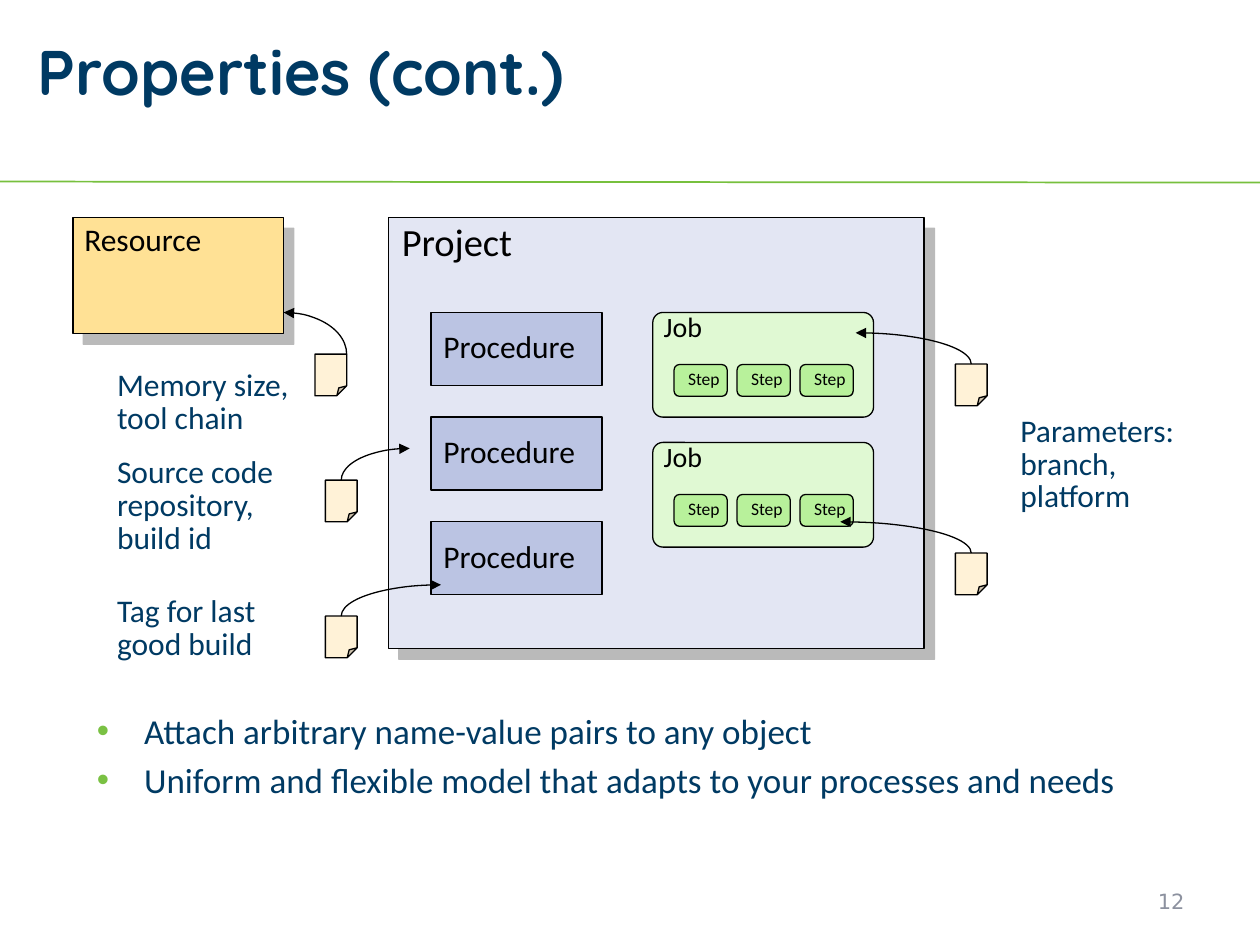
from lxml import etree
from pptx import Presentation
from pptx.dml.color import RGBColor
from pptx.enum.shapes import MSO_CONNECTOR, MSO_SHAPE
from pptx.enum.text import MSO_ANCHOR, MSO_AUTO_SIZE, PP_ALIGN
from pptx.oxml import parse_xml
from pptx.oxml.ns import qn
from pptx.util import Cm, Pt

RECT, ROUND = MSO_SHAPE.RECTANGLE, MSO_SHAPE.ROUNDED_RECTANGLE
NOTE, ARC = MSO_SHAPE.FOLDED_CORNER, MSO_SHAPE.ARC
TOP, MIDDLE = MSO_ANCHOR.TOP, MSO_ANCHOR.MIDDLE
LEFT, RIGHT = PP_ALIGN.LEFT, PP_ALIGN.RIGHT
NAVY, BLACK, GREEN, GREY = "003A63", "000000", "77C03E", "8C919F"
A_NS = 'xmlns:a="http://schemas.openxmlformats.org/drawingml/2006/main"'

TITLE = "Properties (cont.)"
BULLETS = [
    "Attach arbitrary name-value pairs to any object",
    "Uniform and flexible model that adapts to your processes and needs",
]
PANELS = [
    ("Project", (7.83, 4.39, 10.8, 8.69), "E3E6F3", (7.85, 4.39, 2.92, 1.07), 22),
    ("Resource", (1.47, 4.39, 4.24, 2.34), "FFE195", (1.45, 4.42, 3.23, 0.91), 18),
]
PROCEDURE_TOPS = [6.3, 8.41, 10.52]
JOB_TOPS = [6.3, 8.92]
STEPS_PER_JOB = 3
NOTE_W, NOTE_H = 0.64, 0.84
NOTES = [
    {"note": (19.26, 7.34), "tip": (17.25, 6.71), "start": 0.5},
    {"note": (6.56, 9.68), "tip": (8.26, 9.04), "start": 0.5},
    {"note": (6.56, 12.42), "tip": (8.89, 11.79), "start": 0.5},
    {"note": (19.26, 11.15), "tip": (16.94, 10.52), "start": 0.5},
    {"note": (6.35, 7.14), "tip": (5.72, 6.3), "start": 1},
]
LABELS = [
    ("Parameters: branch, platform", (20.32, 8.26, 4.24, 2.26)),
    ("Source code repository, build id", (2.11, 9.09, 4.24, 2.26)),
    ("Tag for last\vgood build", (2.11, 11.89, 4.01, 1.6)),
    ("Memory size, tool chain", (2.11, 7.34, 4.01, 1.6)),
]


def rgb(value):
    return RGBColor.from_string(value)


def cm(*values):
    return [Cm(v) for v in values]


def apply(target, **formats):
    for name, value in formats.items():
        setattr(target, name, value)


def place(sp, box):
    apply(sp, **dict(zip(("left", "top", "width", "height"), cm(*box))))


def write(tf, text, size, color, wrap=False, anchor=TOP, font="Calibri",
          bold=False, align=LEFT, para=None):
    apply(tf, word_wrap=wrap, vertical_anchor=anchor, auto_size=MSO_AUTO_SIZE.NONE)
    p = para or tf.paragraphs[0]
    p.text = text
    p.alignment = align
    for r in p.runs:
        apply(r.font, size=Pt(size), name=font, bold=bold)
        r.font.color.rgb = rgb(color)
    return p


def diagram_text(tf, text, size, color=BLACK, **formats):
    p = write(tf, text, size, color, **formats)
    apply(p, line_spacing=0.87, space_before=Pt(round(size * 0.625, 1)))


def outline(sp):
    sp.shadow.inherit = False
    sp.line.color.rgb = rgb(BLACK)
    sp.line.width = Pt(0.75)


def add_box(s, kind, box, fill, adj=None):
    sp = s.shapes.add_shape(kind, *cm(*box))
    outline(sp)
    sp.fill.solid()
    sp.fill.fore_color.rgb = rgb(fill)
    if adj:
        guides = sp._element.spPr.find(qn("a:prstGeom")).find(qn("a:avLst"))
        etree.SubElement(guides, qn("a:gd"), name="adj", fmla=f"val {round(adj * 100000)}")
    return sp


def add_text(s, box):
    return s.shapes.add_textbox(*cm(*box)).text_frame


def add_panel(s, name, box, fill, name_box, size):
    sp = add_box(s, RECT, box, fill)
    effects = sp._element.spPr.find(qn("a:effectLst"))
    effects.append(parse_xml(
        f'<a:outerShdw {A_NS} dist="107950" dir="2700000" algn="ctr" rotWithShape="0">'
        '<a:srgbClr val="777777"><a:alpha val="50000"/></a:srgbClr></a:outerShdw>'))
    diagram_text(add_text(s, name_box), name, size)


def add_job(s, top):
    left = 13.16
    add_box(s, ROUND, (left, top, 4.45, 2.11), "E0F9D3", 0.097)
    diagram_text(add_text(s, (left - 0.03, top - 0.09, 1.42, 0.84)), "Job", 16)
    for i in range(STEPS_PER_JOB):
        step = add_box(s, ROUND, (left + 0.43 + 1.27 * i, top + 1.05, 1.07, 0.64), "B8F19B")
        diagram_text(step.text_frame, "Step", 10, anchor=MIDDLE)


def add_note(s, note, tip, start):
    x, y = note
    add_box(s, NOTE, (x, y, NOTE_W, NOTE_H), "FFF2D7", 0.312)
    reach, rise = x + NOTE_W * start - tip[0], y - tip[1]
    sp = s.shapes.add_shape(
        ARC, *cm(tip[0] - abs(reach), tip[1], 2 * abs(reach), 2 * rise))
    outline(sp)
    sp.fill.background()
    etree.SubElement(sp.line._get_or_add_ln(), qn("a:headEnd"), type="triangle")
    if reach < 0:
        sp._element.spPr.xfrm.set("flipH", "1")


def add_bullets(body):
    place(body, (1.7, 14.17, 22.81, 2.54))
    tf = body.text_frame
    for i, text in enumerate(BULLETS):
        p = tf.add_paragraph() if i else tf.paragraphs[0]
        write(tf, text, 20, NAVY, wrap=True, para=p)
        p.space_before = Pt(4)
        pPr = p._p.get_or_add_pPr()
        for name, value in {"marL": Cm(0.95), "indent": Cm(-0.95)}.items():
            pPr.set(name, str(int(value)))
        color = etree.SubElement(pPr, qn("a:buClr"))
        etree.SubElement(color, qn("a:srgbClr"), val="7AC143")
        etree.SubElement(pPr, qn("a:buChar"), char="•")


def main():
    prs = Presentation()
    apply(prs, slide_width=Cm(25.4), slide_height=Cm(19.05))
    s = prs.slides.add_slide(prs.slide_layouts[1])

    rule = s.shapes.add_connector(MSO_CONNECTOR.STRAIGHT, *cm(0, 3.66, 25.4, 3.68))
    rule.line.color.rgb = rgb(GREEN)
    rule.line.width = Pt(1)
    etree.SubElement(rule._element.spPr, qn("a:effectLst"))

    title = s.shapes.title
    place(title, (0.51, 0.53, 20.65, 1.78))
    write(title.text_frame, TITLE, 36, NAVY, wrap=True, font="Quicksand", bold=True)
    add_bullets(s.placeholders[1])
    write(add_text(s, (18.21, 17.65, 5.92, 1.02)), "12", 12, GREY, wrap=True,
          anchor=MIDDLE, font="DejaVu Sans", align=RIGHT)

    for panel in PANELS:
        add_panel(s, *panel)
    for top in PROCEDURE_TOPS:
        sp = add_box(s, RECT, (8.69, top, 3.45, 1.47), "BBC4E3")
        diagram_text(sp.text_frame, "Procedure", 18, anchor=MIDDLE)
    for top in JOB_TOPS:
        add_job(s, top)
    for note in NOTES:
        add_note(s, **note)
    for text, box in LABELS:
        diagram_text(add_text(s, box), text, 18, NAVY, wrap=True)

    prs.save("out.pptx")


if __name__ == "__main__":
    main()
